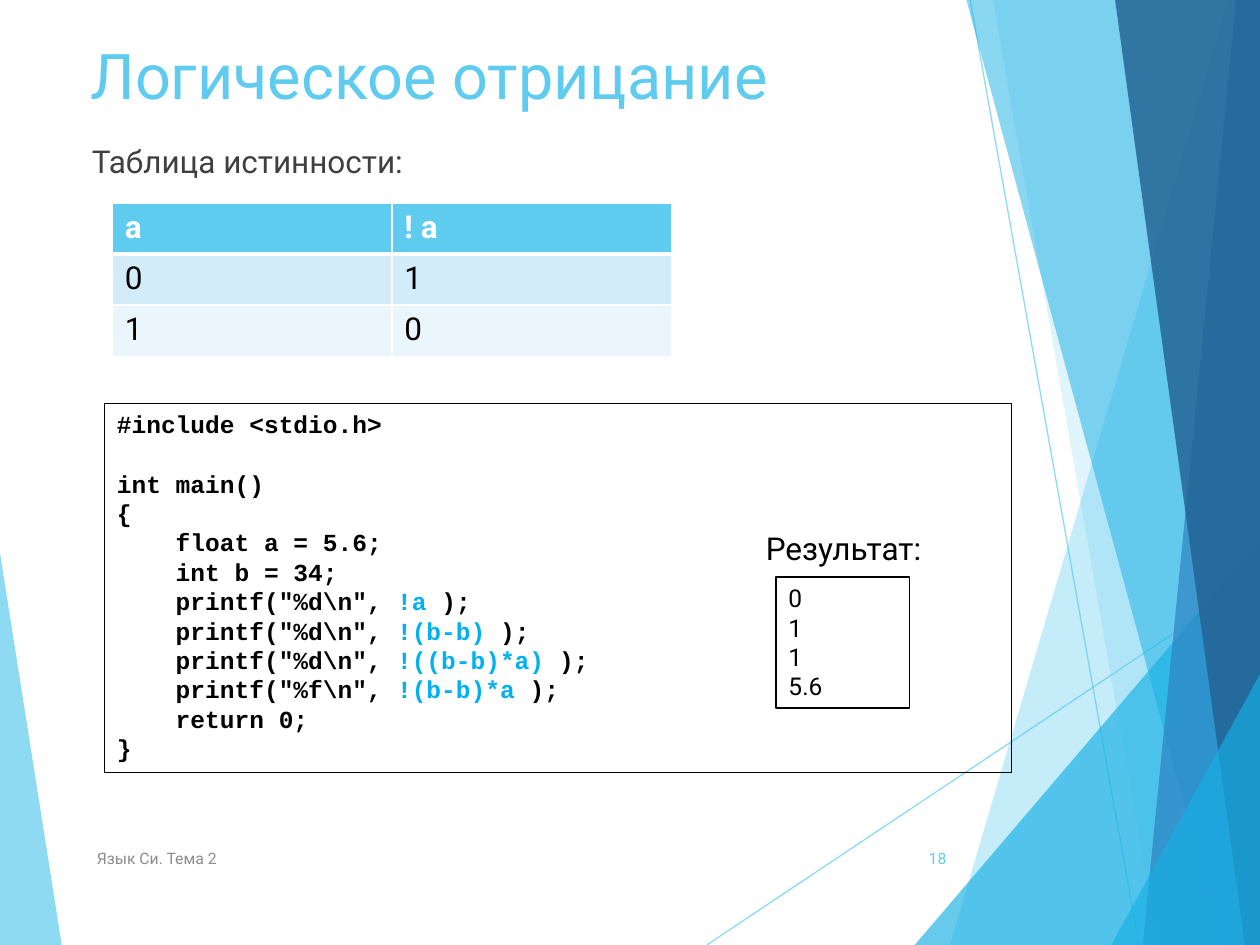
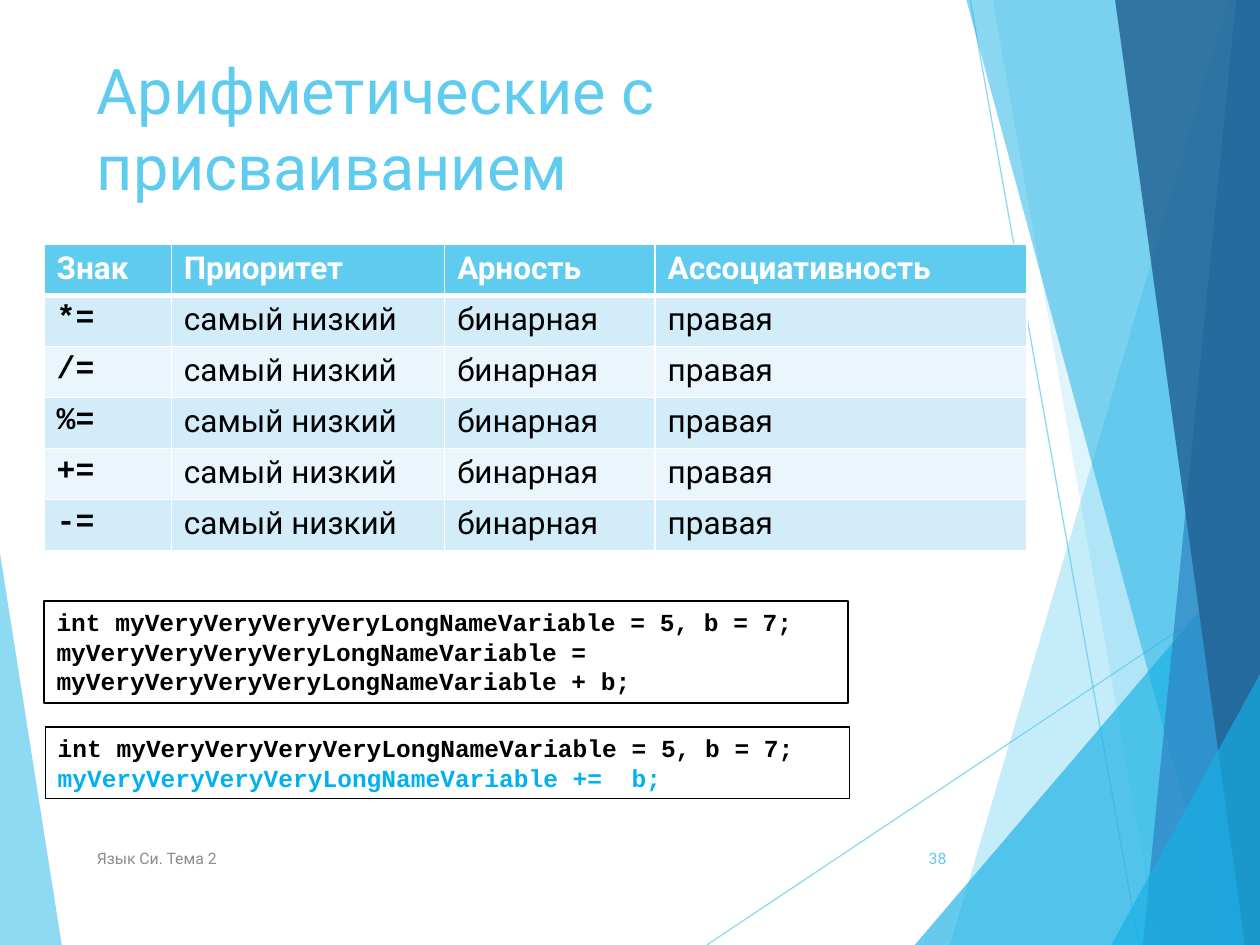
"""Build two slides about C operators with a shared faceted design."""
from dataclasses import dataclass

from lxml.etree import SubElement
from pptx import Presentation
from pptx.dml.color import RGBColor
from pptx.enum.shapes import MSO_CONNECTOR, MSO_SHAPE
from pptx.enum.text import MSO_ANCHOR, PP_ALIGN
from pptx.oxml.ns import qn
from pptx.slide import Slide
from pptx.table import _Cell
from pptx.text.text import _Paragraph
from pptx.util import Inches, Pt

SKY = RGBColor(0x5F, 0xCB, 0xEF)
CYAN = RGBColor(0x17, 0xB0, 0xE4)
BLUE = RGBColor(0x2E, 0x83, 0xC3)
NAVY = RGBColor(0x22, 0x62, 0x92)
ACCENT = RGBColor(0x00, 0xB0, 0xF0)
BLACK = RGBColor(0x00, 0x00, 0x00)
WHITE = RGBColor(0xFF, 0xFF, 0xFF)
BODY_GREY = RGBColor(0x40, 0x40, 0x40)
FOOTER_GREY = RGBColor(0x8C, 0x8C, 0x8C)
ROW_TINTS = (RGBColor(0xD2, 0xEC, 0xF9), RGBColor(0xEA, 0xF6, 0xFC))
SANS = "Roboto"
MONO = "Courier New"
WIDTH, HEIGHT = 10, 7.5
ACCENT_MARK = "|"
CODE_LINE = 17


@dataclass(frozen=True)
class Facet:
    points: tuple[tuple[float, float], ...]
    colour: RGBColor
    opacity: int


@dataclass(frozen=True)
class Ray:
    start: tuple[float, float]
    end: tuple[float, float]


@dataclass(frozen=True)
class Area:
    left: float
    top: float
    width: float
    height: float

    def lengths(self) -> tuple[Inches, ...]:
        """Return the four measures as lengths."""
        return tuple(map(Inches, (self.left, self.top, self.width, self.height)))


@dataclass(frozen=True)
class Style:
    size: int
    colour: RGBColor = BLACK
    font: str = SANS
    bold: bool = False


TITLE = Style(36, SKY)
BODY = Style(18, BODY_GREY)
LABEL = Style(18)
OUTPUT = Style(14)
CODE = Style(14, font=MONO, bold=True)
FOOTER = Style(9, FOOTER_GREY)
PAGE_NUMBER = Style(9, SKY)
HEADER_CELL = Style(18, WHITE, bold=True)
SIGN_CELL = Style(18, font=MONO, bold=True)

BACKDROP = (
    Facet(((0, 4.39), (0.49, HEIGHT), (0, HEIGHT)), SKY, 70),
    Ray((5.61, HEIGHT), (WIDTH, 4.57)),
    Ray((7.7, 0), (9.04, HEIGHT)),
    Facet(((9.75, 0), (7.54, HEIGHT), (WIDTH, HEIGHT), (WIDTH, 0)), SKY, 36),
    Facet(((7.88, 0), (9.19, HEIGHT), (WIDTH, HEIGHT), (WIDTH, 0)), SKY, 20),
    Facet(((7.26, HEIGHT), (WIDTH, 4.29), (WIDTH, HEIGHT)), CYAN, 66),
    Facet(((7.67, 0), (9.7, HEIGHT), (WIDTH, HEIGHT), (WIDTH, 0)), CYAN, 50),
    Facet(((9.81, 0), (9.07, HEIGHT), (WIDTH, HEIGHT), (WIDTH, 0)), BLUE, 70),
    Facet(((8.85, 0), (9.88, HEIGHT), (WIDTH, HEIGHT), (WIDTH, 0)), NAVY, 82),
    Facet(((8.82, HEIGHT), (WIDTH, 5.35), (WIDTH, HEIGHT)), CYAN, 66),
)

NEGATION_CODE = (
    "#include <stdio.h>",
    "int main()",
    "{",
    "    float a = 5.6;",
    "    int b = 34;",
    r'    printf("%d\n", |!a |);',
    r'    printf("%d\n", |!(b-b)| );',
    r'    printf("%d\n", |!((b-b)*a)| );',
    r'    printf("%f\n", |!(b-b)*a| );',
    "    return 0;",
    "}",
)
DECLARATION = "int myVeryVeryVeryVeryLongNameVariable = 5, b = 7;"
LONG_FORM = "myVeryVeryVeryVeryLongNameVariable = myVeryVeryVeryVeryLongNameVariable + b;"
SHORT_FORM = "|myVeryVeryVeryVeryLongNameVariable +=  b;|"


def set_opacity(shape, percent: int) -> None:
    """Make the colours of a shape partly transparent."""
    for colour in shape.element.spPr.iter(qn("a:srgbClr")):
        SubElement(colour, qn("a:alpha"), val=str(percent * 1000))


def draw_facet(page: Slide, facet: Facet) -> None:
    """Draw one translucent polygon."""
    first, *others = [(Inches(x), Inches(y)) for x, y in facet.points]
    builder = page.shapes.build_freeform(*first)
    builder.add_line_segments(others, close=True)
    shape = builder.convert_to_shape()
    shape.shadow.inherit = False
    shape.fill.solid()
    shape.fill.fore_color.rgb = facet.colour
    shape.line.fill.background()
    set_opacity(shape, facet.opacity)


def draw_ray(page: Slide, ray: Ray) -> None:
    """Draw one thin translucent line."""
    ends = [Inches(value) for value in ray.start + ray.end]
    line = page.shapes.add_connector(MSO_CONNECTOR.STRAIGHT, *ends)
    line.line.color.rgb = SKY
    line.line.width = Pt(0.75)
    SubElement(line.element.spPr, qn("a:effectLst"))
    set_opacity(line, 70)


def write(paragraph: _Paragraph, text: str, style: Style) -> None:
    """Fill a paragraph, colouring the parts between accent marks."""
    paragraph.font.name = style.font
    paragraph.font.size = Pt(style.size)
    paragraph.font.bold = style.bold
    paragraph.font.color.rgb = style.colour
    for index, part in enumerate(text.split(ACCENT_MARK)):
        if part:
            span = paragraph.add_run()
            span.text = part
            if index % 2:
                span.font.color.rgb = ACCENT


def add_text(page: Slide, area: Area, style: Style, *lines: str,
             framed: bool = False, anchor: MSO_ANCHOR = MSO_ANCHOR.TOP,
             align: PP_ALIGN = PP_ALIGN.LEFT) -> list[_Paragraph]:
    """Add a text box or a framed rectangle and return its paragraphs."""
    if framed:
        box = page.shapes.add_shape(MSO_SHAPE.RECTANGLE, *area.lengths())
        box.shadow.inherit = False
        box.fill.background()
        box.line.color.rgb = BLACK
        box.line.width = Pt(0.75)
    else:
        box = page.shapes.add_textbox(*area.lengths())
    frame = box.text_frame
    frame.word_wrap = True
    frame.vertical_anchor = anchor
    for _ in lines[1:]:
        frame.add_paragraph()
    for paragraph, line in zip(frame.paragraphs, lines):
        paragraph.alignment = align
        write(paragraph, line, style)
    return list(frame.paragraphs)


def set_borders(cell: _Cell, top: int, bottom: int) -> None:
    """Give a cell white borders of the given widths in points."""
    properties = cell._tc.get_or_add_tcPr()
    widths = {"a:lnL": 1, "a:lnR": 1, "a:lnT": top, "a:lnB": bottom}
    for position, (tag, width) in enumerate(widths.items()):
        border = properties.makeelement(qn(tag), {"w": str(Pt(width))})
        fill = SubElement(border, qn("a:solidFill"))
        SubElement(fill, qn("a:srgbClr"), val=str(WHITE))
        properties.insert(position, border)


def add_grid(page: Slide, area: Area, columns: tuple[float, ...],
             rows: list[tuple[str, ...]], first_style: Style) -> None:
    """Add a banded table whose first column has its own text style."""
    frame = page.shapes.add_table(len(rows), len(columns), *area.lengths())
    table = frame.table
    for column, width in zip(table.columns, columns):
        column.width = Inches(width)
    for row_index, row in enumerate(rows):
        for column_index, text in enumerate(row):
            cell = table.cell(row_index, column_index)
            cell.fill.solid()
            if row_index == 0:
                style, tint = HEADER_CELL, SKY
            else:
                style = LABEL if column_index else first_style
                tint = ROW_TINTS[(row_index - 1) % 2]
            cell.fill.fore_color.rgb = tint
            write(cell.text_frame.paragraphs[0], text, style)
            set_borders(cell, 3 if row_index == 1 else 1, 1 if row_index else 3)


def add_page(deck, title: str, title_area: Area, number: int) -> Slide:
    """Add a slide with the backdrop, title and footer."""
    page = deck.slides.add_slide(deck.slide_layouts[6])
    for piece in BACKDROP:
        if isinstance(piece, Facet):
            draw_facet(page, piece)
        else:
            draw_ray(page, piece)
    add_text(page, title_area, TITLE, title)
    add_text(page, Area(0.67, 6.61, 5.06, 0.4), FOOTER, "Язык Си. Тема 2",
             anchor=MSO_ANCHOR.MIDDLE)
    add_text(page, Area(7.05, 6.61, 0.56, 0.4), PAGE_NUMBER, str(number),
             anchor=MSO_ANCHOR.MIDDLE, align=PP_ALIGN.RIGHT)
    return page


def add_negation(deck) -> None:
    """Add the slide on logical negation."""
    page = add_page(deck, "Логическое отрицание", Area(0.62, 0.24, 6.94, 1.44), 18)
    add_text(page, Area(0.63, 1.08, 6.92, 0.52), BODY, "Таблица истинности:")
    truth = [("a", "! a"), ("0", "1"), ("1", "0")]
    add_grid(page, Area(0.89, 1.61, 4.44, 1.22), (2.22, 2.22), truth, LABEL)
    code = add_text(page, Area(0.83, 3.2, 7.2, 2.93), CODE, *NEGATION_CODE, framed=True)
    code[1].space_before = Pt(CODE_LINE)
    add_text(page, Area(5.98, 4.15, 1.57, 0.4), LABEL, "Результат:")
    add_text(page, Area(6.16, 4.58, 1.06, 1.04), OUTPUT, "0", "1", "1", "5.6", framed=True)


def add_assignment(deck) -> None:
    """Add the slide on arithmetic assignment operators."""
    page = add_page(deck, "Арифметические с присваиванием",
                    Area(0.67, 0.36, 6.94, 1.44), 38)
    rows = [("Знак", "Приоритет", "Арность", "Ассоциативность")]
    rows += [(f"{sign}=", "самый низкий", "бинарная", "правая") for sign in "*/%+-"]
    add_grid(page, Area(0.35, 1.94, 7.8, 2.43), (1.01, 2.17, 1.67, 2.95), rows, SIGN_CELL)
    add_text(page, Area(0.35, 4.77, 6.38, 0.81), CODE, DECLARATION, LONG_FORM, framed=True)
    add_text(page, Area(0.36, 5.77, 6.38, 0.57), CODE, DECLARATION, SHORT_FORM, framed=True)


def main() -> None:
    """Build and save the deck."""
    deck = Presentation()
    deck.slide_width = Inches(WIDTH)
    deck.slide_height = Inches(HEIGHT)
    add_negation(deck)
    add_assignment(deck)
    deck.save("out.pptx")


if __name__ == "__main__":
    main()
